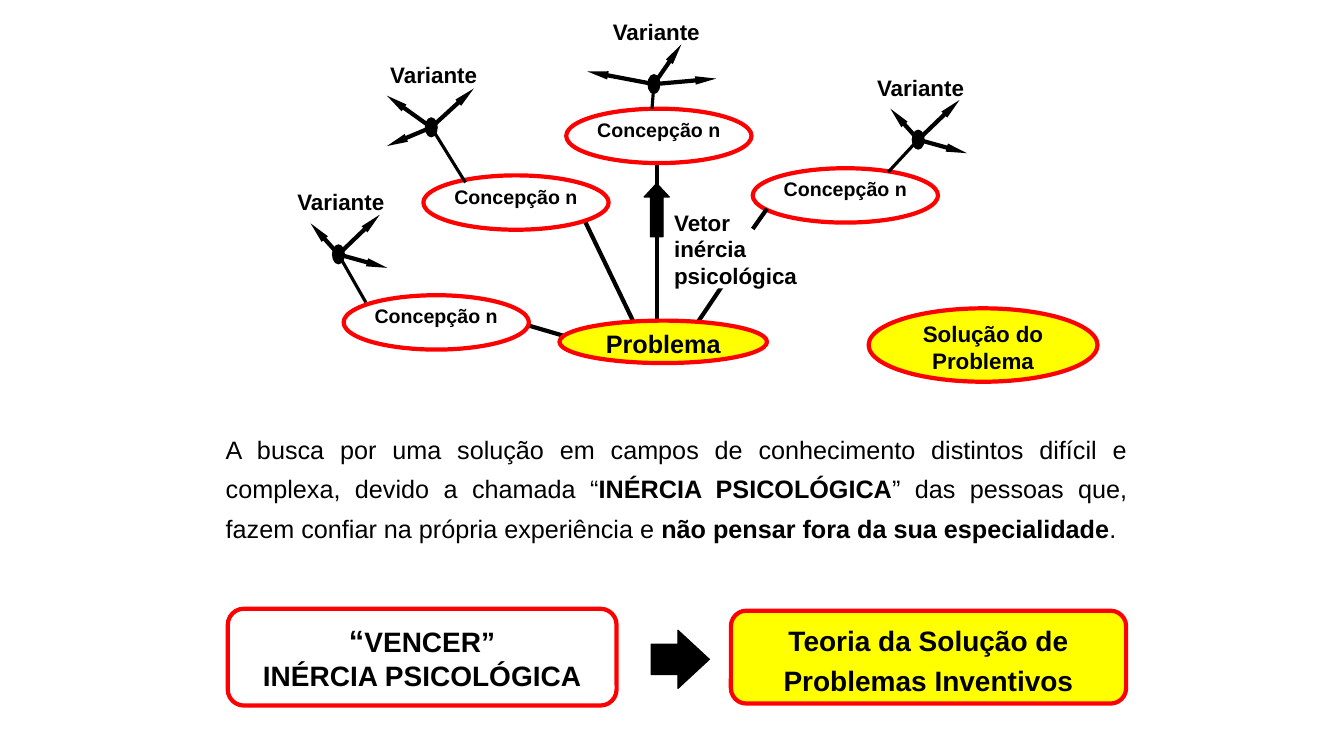
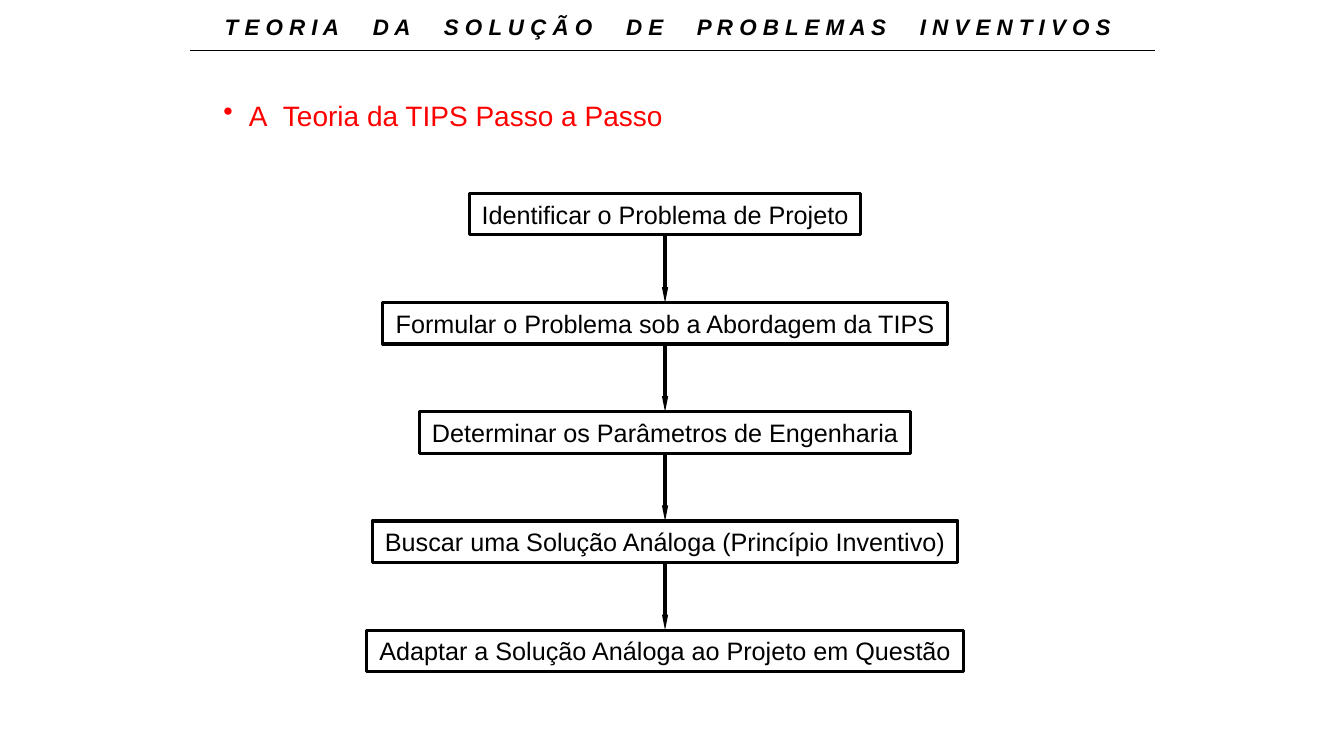
from lxml import etree
from pptx import Presentation
from pptx import util as u
from pptx.dml.color import RGBColor
from pptx.enum import shapes, text
from pptx.oxml.ns import qn

COLORS = {"ink": "000000", "accent": "FF0000", "highlight": "FFFF00", "paper": "FFFFFF"}
FONT = "Arial"
SHAPE = shapes.MSO_SHAPE
ALIGN = text.PP_ALIGN
ANCHOR = text.MSO_ANCHOR


def rgb(name):
    return RGBColor.from_string(COLORS[name])


class Deck:
    """Holds the shared style and the current slide."""

    def __init__(self):
        self.prs = Presentation()
        self.prs.slide_width = u.Cm(33.87)
        self.prs.slide_height = u.Cm(19.05)
        self.s = None

    def new_slide(self, title_words=None):
        layout = self.prs.slide_layouts[5 if title_words else 6]
        self.s = self.prs.slides.add_slide(layout)
        if title_words:
            self.title(title_words)

    def title(self, words):
        """Letter-spaced heading with a rule below it."""
        sp = self.s.shapes.title
        self.place(sp, 4.98, 0.2, 23.7, 0.94)
        runs = []
        for word in words.split():
            if runs:
                runs.append((" ", {"spacing": 19.5}))
            runs.append((" ".join(word), {}))
        self.fill_text(sp, [runs], 16, bold=True, italic=True)
        self.line((4.78, 1.27), (29.11, 1.27), 0.75)

    def place(self, sp, x, y, w, h):
        sp.left, sp.top, sp.width, sp.height = (u.Cm(v) for v in (x, y, w, h))

    def fill_text(self, sp, paras, size, color="ink", bold=False, italic=False,
                  align=ALIGN.CENTER, anchor=ANCHOR.MIDDLE, spacing=1.0,
                  inset=(0.25, 0.13), wrap=True, bullet=None):
        """Each paragraph is a string or a list of (text, overrides) runs."""
        tf = sp.text_frame
        tf.auto_size = text.MSO_AUTO_SIZE.NONE
        tf.word_wrap = wrap
        tf.vertical_anchor = anchor
        tf.margin_left = tf.margin_right = u.Cm(inset[0])
        tf.margin_top = tf.margin_bottom = u.Cm(inset[1])
        for i, runs in enumerate(paras):
            p = tf.add_paragraph() if i else tf.paragraphs[0]
            p.alignment = align
            p.line_spacing = spacing
            if bullet:
                self.bullet(p, bullet)
            for words, over in [(runs, {})] if isinstance(runs, str) else runs:
                r = p.add_run()
                r.text = words
                r.font.name = FONT
                r.font.size = u.Pt(over.get("size", size))
                r.font.bold = over.get("bold", bold)
                r.font.italic = italic
                r.font.color.rgb = rgb(color)
                if "spacing" in over:
                    r.font._element.set("spc", str(round(over["spacing"] * 100)))

    def bullet(self, p, char):
        ppr = p._p.get_or_add_pPr()
        indent = u.Cm(0.64)
        ppr.set("marL", str(int(indent)))
        ppr.set("indent", str(-int(indent)))
        etree.SubElement(ppr, qn("a:buChar")).set("char", char)

    def textbox(self, x, y, w, h, paras, size, **style):
        sp = self.s.shapes.add_textbox(*(u.Cm(v) for v in (x, y, w, h)))
        self.fill_text(sp, paras, size, anchor=ANCHOR.TOP, **style)

    def shape(self, kind, x, y, w, h, fill=None, line=None, width=0.75, adj=()):
        sp = self.s.shapes.add_shape(kind, *(u.Cm(v) for v in (x, y, w, h)))
        sp.shadow.inherit = False
        for i, value in enumerate(adj):
            sp.adjustments[i] = value
        if fill:
            sp.fill.solid()
            sp.fill.fore_color.rgb = rgb(fill)
        else:
            sp.fill.background()
        if line:
            sp.line.color.rgb = rgb(line)
            sp.line.width = u.Pt(width)
        else:
            sp.line.fill.background()
        return sp

    def ellipse(self, x, y, w, h, words, size, fill):
        sp = self.shape(SHAPE.OVAL, x, y, w, h, fill, "accent", 3)
        self.fill_text(sp, [words], size, bold=True, anchor=ANCHOR.TOP, inset=(0.03, 0.03))

    def panel(self, x, y, w, h, paras, fill=None, spacing=1.0):
        sp = self.shape(SHAPE.ROUNDED_RECTANGLE, x, y, w, h, fill, "accent", 3, (0.167,))
        self.fill_text(sp, paras, 20, bold=True, spacing=spacing)

    def line(self, start, end, width=3, arrow=False):
        ends = (u.Cm(v) for v in (*start, *end))
        sp = self.s.shapes.add_connector(shapes.MSO_CONNECTOR.STRAIGHT, *ends)
        sp.line.color.rgb = rgb("ink")
        sp.line.width = u.Pt(width)
        if arrow:
            tail = etree.SubElement(sp.line._get_or_add_ln(), qn("a:tailEnd"))
            for key, value in (("type", "triangle"), ("w", "sm"), ("len", "lg")):
                tail.set(key, value)
        etree.SubElement(sp._element.spPr, qn("a:effectLst"))

    def concept(self, corner, foot, node, fan):
        """Concept ellipse with a stem to a node whose arrows lead to variants."""
        x, y = node
        self.ellipse(*corner, 4.67, 1.37, "Concepção n", 14, "paper")
        self.line(foot, node, 2.25)
        self.shape(SHAPE.OVAL, x - 0.15, y - 0.24, 0.3, 0.48, "ink", "ink")
        for dx, dy in fan:
            self.line(node, (x + dx, y + dy), arrow=True)
        self.textbox(x - 1.12, y - 1.66, 2.36, 0.69, ["Variante"], 16,
                     bold=True, inset=(0, 0))


def inertia_slide(deck):
    deck.new_slide()

    # Links from the problem to the concepts
    for start, end in (((17.53, 8.2), (19.43, 5.38)), ((15.95, 8.08), (14.71, 5.51)),
                       ((16.56, 8.08), (16.56, 4.17)), ((14.71, 8.61), (13.31, 8.2))):
        deck.line(start, end)

    # Inertia vector
    deck.shape(SHAPE.UP_ARROW, 16.23, 4.62, 0.64, 1.35, "ink", "ink", adj=(0.5, 0.54))
    sp = deck.shape(SHAPE.RECTANGLE, 16.99, 5.26, 3.25, 2.01, "paper")
    deck.fill_text(sp, ["Vetor inércia psicológica"], 16, bold=True, align=ALIGN.LEFT,
                   anchor=ANCHOR.TOP, inset=(0, 0))

    # Problem and solution
    deck.ellipse(21.89, 7.77, 5.77, 1.85, "Solução do Problema", 16, "highlight")
    deck.ellipse(14.1, 8.08, 5.23, 1.07, "Problema", 18, "highlight")

    # Concepts with their variants
    side_fan = ((1.23, 0.34), (1.04, -1), (-0.7, -0.78))
    top_fan = ((1.57, -0.14), (0.69, -1), (-1.68, -0.32))
    left_fan = ((-1.12, -0.8), (1.07, -0.98), (-1.12, 0.47))
    for corner, foot, node, fan in (
            ((18.97, 4.24), (22.38, 4.34), (23.14, 3.52), side_fan),
            ((14.27, 2.74), (16.43, 2.74), (16.48, 2.12), top_fan),
            ((10.67, 4.42), (11.73, 4.6), (10.87, 3.21), left_fan),
            ((8.66, 7.44), (9.22, 7.62), (8.53, 6.41), side_fan)):
        deck.concept(corner, foot, node, fan)
    deck.line((18.97, 5.77), (19.33, 5.26))

    # Explanation
    strong = {"bold": True}
    deck.textbox(5.44, 10.59, 23.22, 3.23, [[
        ("A busca por uma solução em campos de conhecimento distintos difícil e "
         "complexa, devido a chamada “", {}),
        ("INÉRCIA PSICOLÓGICA", strong),
        ("” das pessoas que, fazem confiar na própria experiência e ", {}),
        ("não pensar fora da sua especialidade", strong),
        (".", {})]], 18, align=ALIGN.JUSTIFY, spacing=1.3)

    # Conclusion
    deck.panel(5.74, 15.34, 9.8, 2.44,
               [[("“", {"size": 22}), ("VENCER”", {})], "INÉRCIA PSICOLÓGICA"])
    deck.shape(SHAPE.RIGHT_ARROW, 16.41, 15.88, 1.47, 1.47, "ink", "ink",
               adj=(0.52, 0.54))
    deck.panel(18.42, 15.39, 9.96, 2.34,
               ["Teoria da Solução de Problemas Inventivos"], "highlight", 1.2)


def steps_slide(deck):
    deck.new_slide("TEORIA DA SOLUÇÃO DE PROBLEMAS INVENTIVOS")
    deck.textbox(5.38, 2.34, 23.06, 1.09,
                 [[("A", {}), (" ", {"spacing": 5.5}), ("Teoria da TIPS Passo a Passo", {})]],
                 20, color="accent", align=ALIGN.JUSTIFY, bullet="•")

    # Flow of steps
    center, top, pitch, height = 16.76, 4.88, 2.75, 1.04
    steps = (("Identificar o Problema de Projeto", 9.86),
             ("Formular o Problema sob a Abordagem da TIPS", 14.22),
             ("Determinar os Parâmetros de Engenharia", 12.37),
             ("Buscar uma Solução Análoga (Princípio Inventivo)", 14.76),
             ("Adaptar a Solução Análoga ao Projeto em Questão", 15.04))
    for i, (step, width) in enumerate(steps):
        y = top + i * pitch
        sp = deck.shape(SHAPE.RECTANGLE, center - width / 2, y, width, height,
                        line="ink", width=2.25)
        deck.fill_text(sp, [step], 18, wrap=False)
        if i:
            deck.line((center, y - pitch + height), (center, y), 2.25, arrow=True)


def main():
    deck = Deck()
    inertia_slide(deck)
    steps_slide(deck)
    deck.prs.save("out.pptx")


if __name__ == "__main__":
    main()
